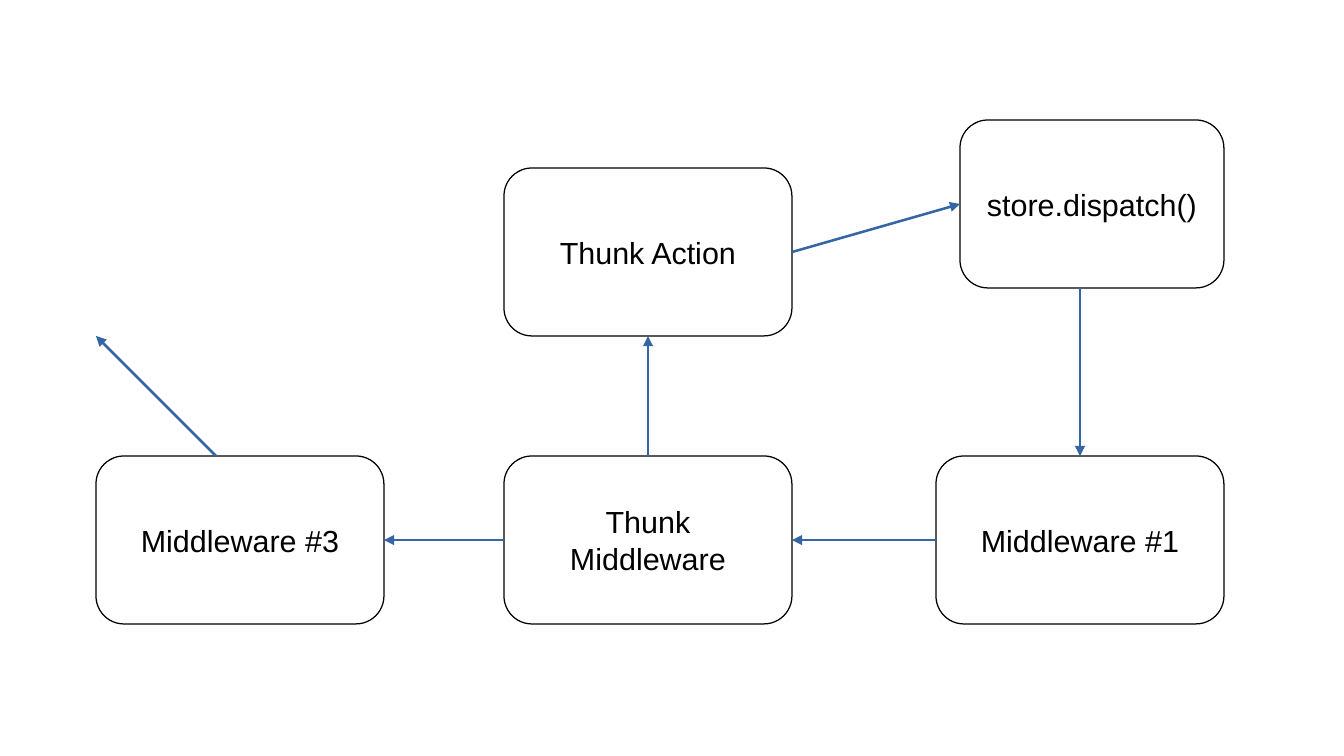
"""Draw the route of a thunk action through the store's middleware chain."""
from lxml import etree
from pptx import Presentation
from pptx import util as u
from pptx.dml.color import RGBColor
from pptx.enum import shapes, text
from pptx.oxml.ns import qn

STEPS = {
    "dispatch": ("store.dispatch()", 20, 2.5, 5.5),
    "first": ("Middleware #1", 19.5, 9.5, 6),
    "thunk": ("Thunk Middleware", 10.5, 9.5, 6),
    "third": ("Middleware #3", 2, 9.5, 6),
    "action": ("Thunk Action", 10.5, 3.5, 6),
}
STEP_HEIGHT = 3.5
TOP, LEFT, BOTTOM, RIGHT = range(4)
ROUTES = [
    (("thunk", TOP), ("action", BOTTOM)),
    ((22.5, 6), ("first", TOP)),
    (("action", RIGHT), ("dispatch", LEFT)),
    (("first", LEFT), ("thunk", RIGHT)),
    (("thunk", LEFT), ("third", RIGHT)),
    ((4.5, 9.5), (2, 7)),
]
THEME = {
    "font": "Arial",
    "size": u.Pt(18),
    "ink": RGBColor.from_string("000000"),
    "arrow": RGBColor.from_string("3465A4"),
    "outline_width": u.Pt(0),
    "arrow_width": u.Pt(1.5),
}


def add_step(slide, label, left, top, width):
    step = slide.shapes.add_shape(
        shapes.MSO_SHAPE.ROUNDED_RECTANGLE,
        *map(u.Cm, (left, top, width, STEP_HEIGHT)))
    step.shadow.inherit = False
    step.fill.background()
    step.line.color.rgb = THEME["ink"]
    step.line.width = THEME["outline_width"]
    frame = step.text_frame
    frame.word_wrap = True
    frame.vertical_anchor = text.MSO_ANCHOR.MIDDLE
    frame.text = label
    paragraph = frame.paragraphs[0]
    paragraph.alignment = text.PP_ALIGN.CENTER
    paragraph.font.name = THEME["font"]
    paragraph.font.size = THEME["size"]
    paragraph.font.color.rgb = THEME["ink"]
    return step


def locate(end):
    place, side = end
    if place not in STEPS:
        return end
    _, left, top, width = STEPS[place]
    across = {LEFT: 0, RIGHT: width}.get(side, width / 2)
    down = {TOP: 0, BOTTOM: STEP_HEIGHT}.get(side, STEP_HEIGHT / 2)
    return left + across, top + down


def add_route(slide, steps, start, finish):
    route = slide.shapes.add_connector(
        shapes.MSO_CONNECTOR.STRAIGHT,
        *map(u.Cm, (*locate(start), *locate(finish))))
    for (place, side), join in ((start, route.begin_connect),
                                (finish, route.end_connect)):
        if place in steps:
            join(steps[place], side)
    route.line.color.rgb = THEME["arrow"]
    route.line.width = THEME["arrow_width"]
    properties = route.line._get_or_add_ln()
    etree.SubElement(properties, qn("a:tailEnd"), type="triangle")
    etree.SubElement(properties.getparent(), qn("a:effectLst"))


def main():
    deck = Presentation()
    deck.slide_width, deck.slide_height = u.Cm(28), u.Cm(15.75)
    slide = deck.slides.add_slide(deck.slide_layouts[6])
    steps = {key: add_step(slide, *step) for key, step in STEPS.items()}
    for start, finish in ROUTES:
        add_route(slide, steps, start, finish)
    deck.save("out.pptx")


if __name__ == "__main__":
    main()
